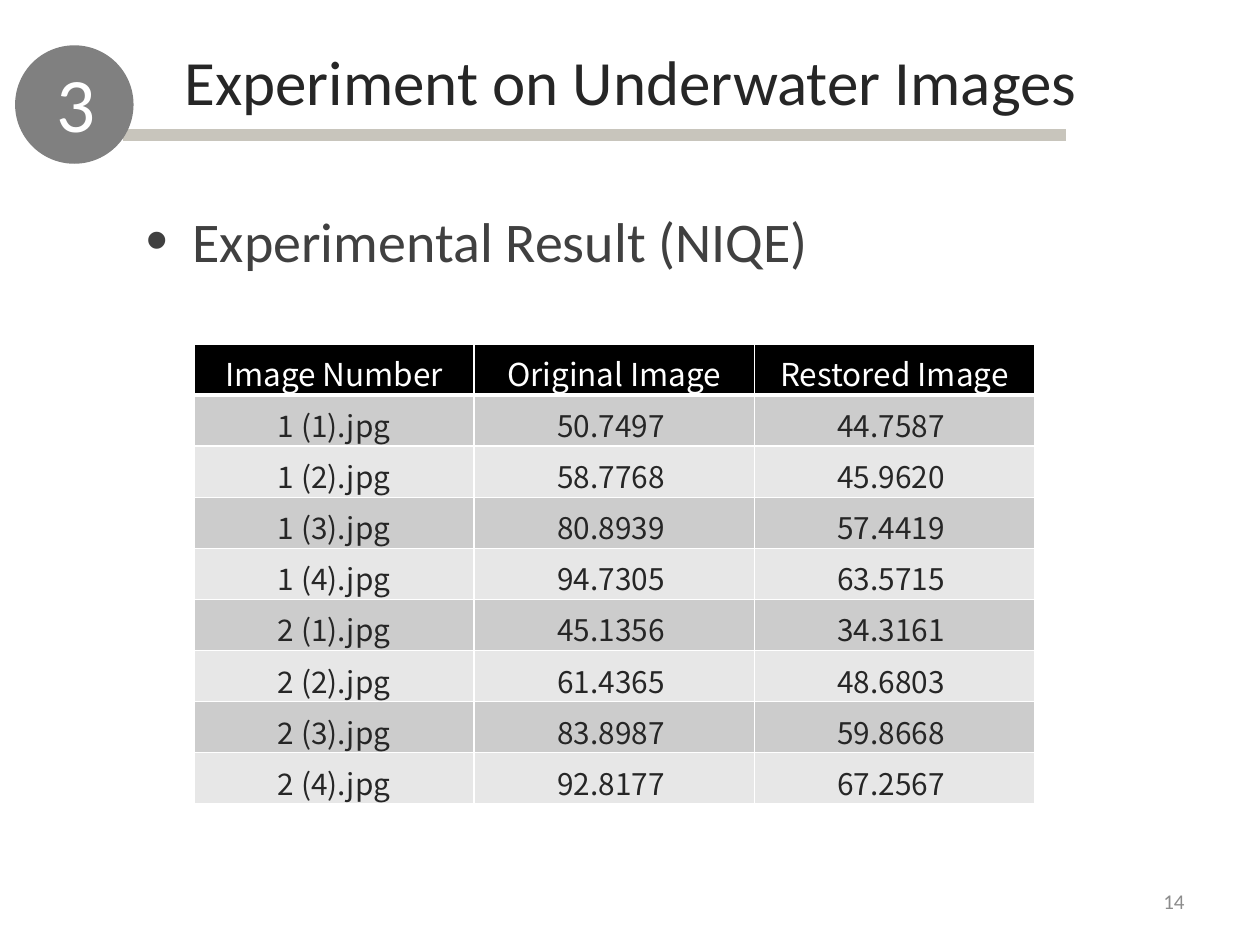
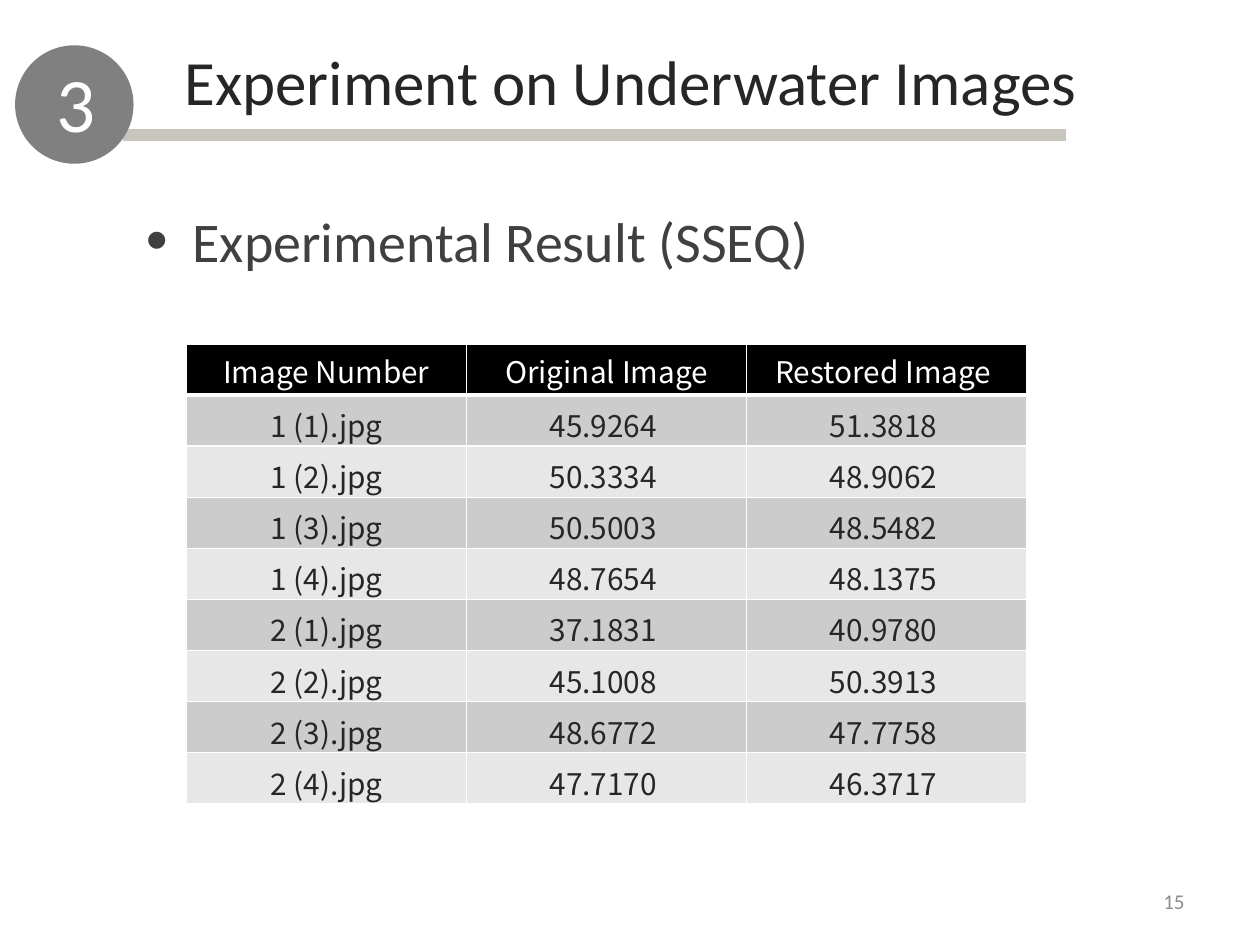
import dataclasses

import lxml.etree
import pptx
import pptx.dml.color
import pptx.enum.shapes
import pptx.enum.text
import pptx.oxml.ns
import pptx.util

Inches = pptx.util.Inches
Align = pptx.enum.text.PP_ALIGN
Anchor = pptx.enum.text.MSO_ANCHOR


@dataclasses.dataclass(frozen=True)
class Theme:
    text_font: str = "Calibri"
    table_font: str = "Noto Sans CJK SC"
    title_size: int = 36
    badge_size: int = 44
    heading_size: int = 32
    cell_size: int = 17
    page_size: int = 12
    dark: str = "262626"
    heading: str = "404040"
    badge: str = "808080"
    rule: str = "C8C5BC"
    page: str = "8C8C8C"
    header: str = "000000"
    white: str = "FFFFFF"
    bands: tuple = ("CCCCCC", "E7E7E7")


THEME = Theme()
SECTION_TITLE = "Experiment on Underwater Images"
SECTION_NUMBER = "3"
IMAGE_NAMES = [f"{group} ({item}).jpg" for group in (1, 2) for item in (1, 2, 3, 4)]


@dataclasses.dataclass(frozen=True)
class Result:
    metric: str
    page: int
    table_left: float
    headers: tuple
    header_size: int
    header_anchor: object
    originals: tuple
    restored: tuple


RESULTS = (
    Result(
        "NIQE", 14, 1.54,
        ("Image Number", "Original Image", "Restored Image"), 18, Anchor.BOTTOM,
        ("50.7497", "58.7768", "80.8939", "94.7305",
         "45.1356", "61.4365", "83.8987", "92.8177"),
        ("44.7587", "45.9620", "57.4419", "63.5715",
         "34.3161", "48.6803", "59.8668", "67.2567"),
    ),
    Result(
        "SSEQ", 15, 1.48,
        ("Image Number", "Original Image", "Restored Image "), 17, Anchor.MIDDLE,
        ("45.9264", "50.3334", "50.5003", "48.7654",
         "37.1831", "45.1008", "48.6772", "47.7170"),
        ("51.3818", "48.9062", "48.5482", "48.1375",
         "40.9780", "50.3913", "47.7758", "46.3717"),
    ),
)


def color(value):
    return pptx.dml.color.RGBColor.from_string(value)


def add_element(parent, tag, **attributes):
    return lxml.etree.SubElement(parent, pptx.oxml.ns.qn(tag), attributes)


def write_run(paragraph, text, size, fill, font=THEME.text_font, align=Align.LEFT):
    paragraph.alignment = align
    run = paragraph.add_run()
    run.text = text
    run.font.name = font
    run.font.size = pptx.util.Pt(size)
    run.font.bold = False
    run.font.color.rgb = color(fill)


def add_text(slide, left, top, width, height, text, size, fill,
             align=Align.LEFT, anchor=Anchor.TOP):
    box = slide.shapes.add_textbox(
        Inches(left), Inches(top), Inches(width), Inches(height))
    box.text_frame.word_wrap = True
    box.text_frame.vertical_anchor = anchor
    write_run(box.text_frame.paragraphs[0], text, size, fill, align=align)


def place_title(slide):
    title = slide.shapes.title
    title.left, title.top = Inches(0.83), Inches(0.29)
    title.width, title.height = Inches(8.35), Inches(0.71)
    title.text_frame.auto_size = pptx.enum.text.MSO_AUTO_SIZE.NONE
    title.text_frame.vertical_anchor = Anchor.TOP
    write_run(title.text_frame.paragraphs[0], SECTION_TITLE,
              THEME.title_size, THEME.dark, align=Align.CENTER)


def add_title_rule(slide):
    rule = slide.shapes.add_connector(
        pptx.enum.shapes.MSO_CONNECTOR.STRAIGHT,
        Inches(0.98), Inches(1.07), Inches(8.46), Inches(1.07))
    rule.line.color.rgb = color(THEME.rule)
    rule.line.width = pptx.util.Pt(7)
    add_element(rule._element.spPr, "a:effectLst")


def add_section_badge(slide):
    badge = slide.shapes.add_shape(
        pptx.enum.shapes.MSO_SHAPE.OVAL,
        Inches(0.12), Inches(0.36), Inches(0.94), Inches(0.94))
    badge.shadow.inherit = False
    badge.fill.solid()
    badge.fill.fore_color.rgb = color(THEME.badge)
    badge.line.fill.background()
    add_text(slide, 0.35, 0.39, 0.71, 0.84, SECTION_NUMBER,
             THEME.badge_size, THEME.white)


def add_bullet_heading(slide, text):
    box = slide.shapes.add_textbox(
        Inches(1.06), Inches(1.55), Inches(7.95), Inches(0.71))
    box.text_frame.word_wrap = True
    box.text_frame.margin_top = Inches(0.09)
    paragraph = box.text_frame.paragraphs[0]
    properties = paragraph._p.get_or_add_pPr()
    indent = Inches(0.37)
    properties.set("marL", str(indent))
    properties.set("indent", str(-indent))
    add_element(properties, "a:buSzPct", val="112000")
    add_element(properties, "a:buFont", typeface="Arial")
    add_element(properties, "a:buChar", char="•")
    write_run(paragraph, text, THEME.heading_size, THEME.heading)


def set_borders(cell, top, bottom):
    properties = cell._tc.get_or_add_tcPr()
    for side, points in (("L", 1), ("R", 1), ("T", top), ("B", bottom)):
        line = add_element(properties, f"a:ln{side}", w=str(pptx.util.Pt(points)))
        add_element(add_element(line, "a:solidFill"), "a:srgbClr", val=THEME.white)


def format_cell(cell, text, size, text_color, fill, anchor, top, bottom):
    set_borders(cell, top, bottom)
    cell.fill.solid()
    cell.fill.fore_color.rgb = color(fill)
    cell.margin_left = cell.margin_right = cell.margin_top = Inches(0.01)
    cell.margin_bottom = 0
    cell.vertical_anchor = anchor
    write_run(cell.text_frame.paragraphs[0], text, size, text_color,
              THEME.table_font, Align.CENTER)


def add_score_table(slide, result):
    scores = [(name, f"{original} ", f"{restored} ") for name, original, restored
              in zip(IMAGE_NAMES, result.originals, result.restored)]
    row_count, column_count = len(scores) + 1, len(result.headers)
    width, height = Inches(6.67), Inches(3.65)
    table = slide.shapes.add_table(
        row_count, column_count,
        Inches(result.table_left), Inches(2.73), width, height).table
    table.horz_banding = False
    for column in table.columns:
        column.width = width // column_count
    for row in table.rows:
        row.height = height // row_count
    for column, text in enumerate(result.headers):
        format_cell(table.cell(0, column), text, result.header_size, THEME.white,
                    THEME.header, result.header_anchor, 1, 3)
    for row, values in enumerate(scores, start=1):
        band = THEME.bands[(row - 1) % 2]
        top = 3 if row == 1 else 1
        for column, text in enumerate(values):
            format_cell(table.cell(row, column), text, THEME.cell_size,
                        THEME.dark, band, Anchor.BOTTOM, top, 1)


def add_result_slide(presentation, result):
    slide = presentation.slides.add_slide(
        presentation.slide_layouts.get_by_name("Title Only"))
    place_title(slide)
    add_title_rule(slide)
    add_section_badge(slide)
    add_bullet_heading(slide, f"Experimental Result ({result.metric})")
    add_score_table(slide, result)
    add_text(slide, 7.17, 6.95, 2.33, 0.4, str(result.page), THEME.page_size,
             THEME.page, Align.RIGHT, Anchor.MIDDLE)


def main():
    presentation = pptx.Presentation()
    presentation.slide_width = Inches(10)
    presentation.slide_height = Inches(7.5)
    for result in RESULTS:
        add_result_slide(presentation, result)
    presentation.save("out.pptx")


if __name__ == "__main__":
    main()
